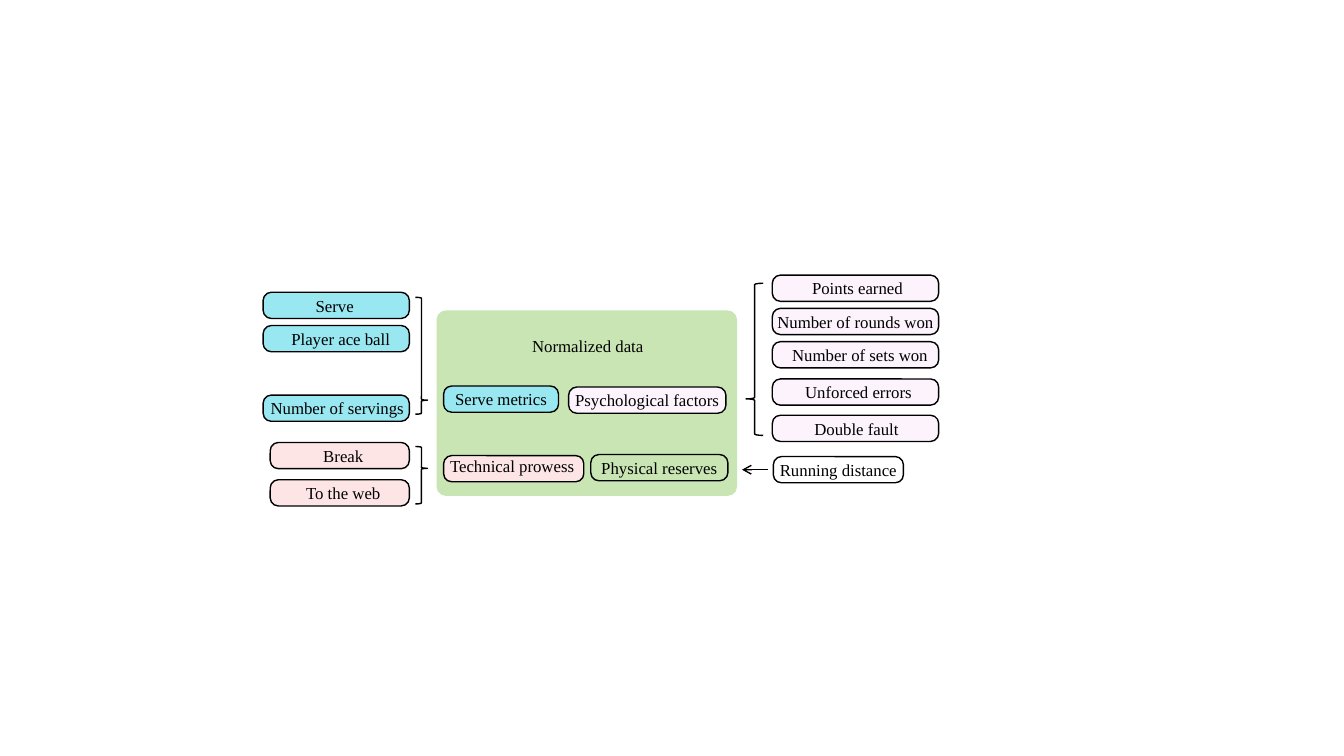
"""Build the slide of tennis indicators grouped around normalized data."""
from lxml import etree
from pptx import Presentation
from pptx.dml.color import RGBColor
from pptx.enum import shapes, text
from pptx.oxml.ns import qn
from pptx.util import Pt

PX = 9144
FONT, SIZE = "Times New Roman", 12
INK, GREEN, BLUE, LILAC, PINK = "000000", "C8E5B3", "99E7F1", "FCF3FD", "FDE5E6"
HIGH = 26

PANEL = (433, 308, 298, 184)
TITLE = ("Normalized data", (497, 328, 172, 30))

# left, width, fill, then (label, top, text shift right, text shift up)
GROUPS = [
    (261, 145, BLUE, [("Serve", 290, -3, 0), ("Player ace ball", 323, 9, 0),
                      ("Number of servings", 392, 2, 0)]),
    (268, 138, PINK, [("Break", 439, 7, 0), ("To the web", 476, 7, 0)]),
    (766, 165, LILAC, [("Points earned", 273, 4, 0), ("Number of rounds won", 306, 0, 0),
                       ("Number of sets won", 339, 9, 0), ("Unforced errors", 376, 6, 0),
                       ("Double fault", 412, 2, 0)]),
    (767, 129, None, [("Running distance", 453, 0, 0)]),
    (440, 114, BLUE, [("Serve metrics", 383, 0, 0)]),
    (564, 156, LILAC, [("Psychological factors", 384, 0, 0)]),
    (440, 139, PINK, [("Technical prowess", 452, -3, 6)]),
    (586, 136, None, [("Physical reserves", 451, 0, 0)]),
]
BRACES = [
    ("RIGHT_BRACE", (412, 295, 12, 116), 0.88),
    ("RIGHT_BRACE", (412, 443, 12, 57), 0.38),
    ("LEFT_BRACE", (740, 281, 17, 151), 0.76),
]
ARROW = (762, 466, 736, 466)


def scale(box):
    """Turn px into EMU."""
    return [n * PX for n in box]


def color(code):
    """Turn a hex string into a colour."""
    return RGBColor.from_string(code)


def edge(line):
    """Draw a thin black line."""
    line.color.rgb = color(INK)
    line.width = Pt(1)


def draw(slide, kind, box, fill, adj, lined=True):
    """Add a preset shape with its fill, outline and adjustments."""
    item = slide.shapes.add_shape(getattr(shapes.MSO_SHAPE, kind), *scale(box))
    item.shadow.inherit = False
    for i, part in enumerate(adj):
        item.adjustments[i] = part
    if fill:
        item.fill.solid()
        item.fill.fore_color.rgb = color(fill)
    else:
        item.fill.background()
    if lined:
        edge(item.line)
    else:
        item.line.fill.background()
    return item


def write(item, words, right=0, up=0):
    """Centre a label, moved by its margins."""
    frame = item.text_frame
    frame.text = words
    frame.word_wrap = False
    frame.vertical_anchor = text.MSO_ANCHOR.MIDDLE
    frame.margin_left, frame.margin_right = scale((max(right, 0), max(-right, 0)))
    frame.margin_top, frame.margin_bottom = scale((0, up))
    para = frame.paragraphs[0]
    para.alignment = text.PP_ALIGN.CENTER
    font = para.runs[0].font
    font.name, font.size = FONT, Pt(SIZE)
    font.color.rgb = color(INK)


def main():
    """Place the panel, labels, braces and arrow."""
    deck = Presentation()
    deck.slide_width, deck.slide_height = scale((1333, 750))
    slide = deck.slides.add_slide(deck.slide_layouts[6])

    draw(slide, "ROUNDED_RECTANGLE", PANEL, GREEN, [0.05], lined=False)
    words, box = TITLE
    write(slide.shapes.add_textbox(*scale(box)), words)

    for left, width, fill, labels in GROUPS:
        for words, top, right, up in labels:
            box = (left, top, width, HIGH)
            write(draw(slide, "ROUNDED_RECTANGLE", box, fill, [0.31]), words, right, up)
    for kind, box, tip in BRACES:
        draw(slide, kind, box, None, [0.08, tip])

    arrow = slide.shapes.add_connector(shapes.MSO_CONNECTOR.STRAIGHT, *scale(ARROW))
    edge(arrow.line)
    etree.SubElement(arrow.line._get_or_add_ln(), qn("a:tailEnd"), type="arrow")
    etree.SubElement(arrow._element.spPr, qn("a:effectLst"))
    deck.save("out.pptx")


if __name__ == "__main__":
    main()
